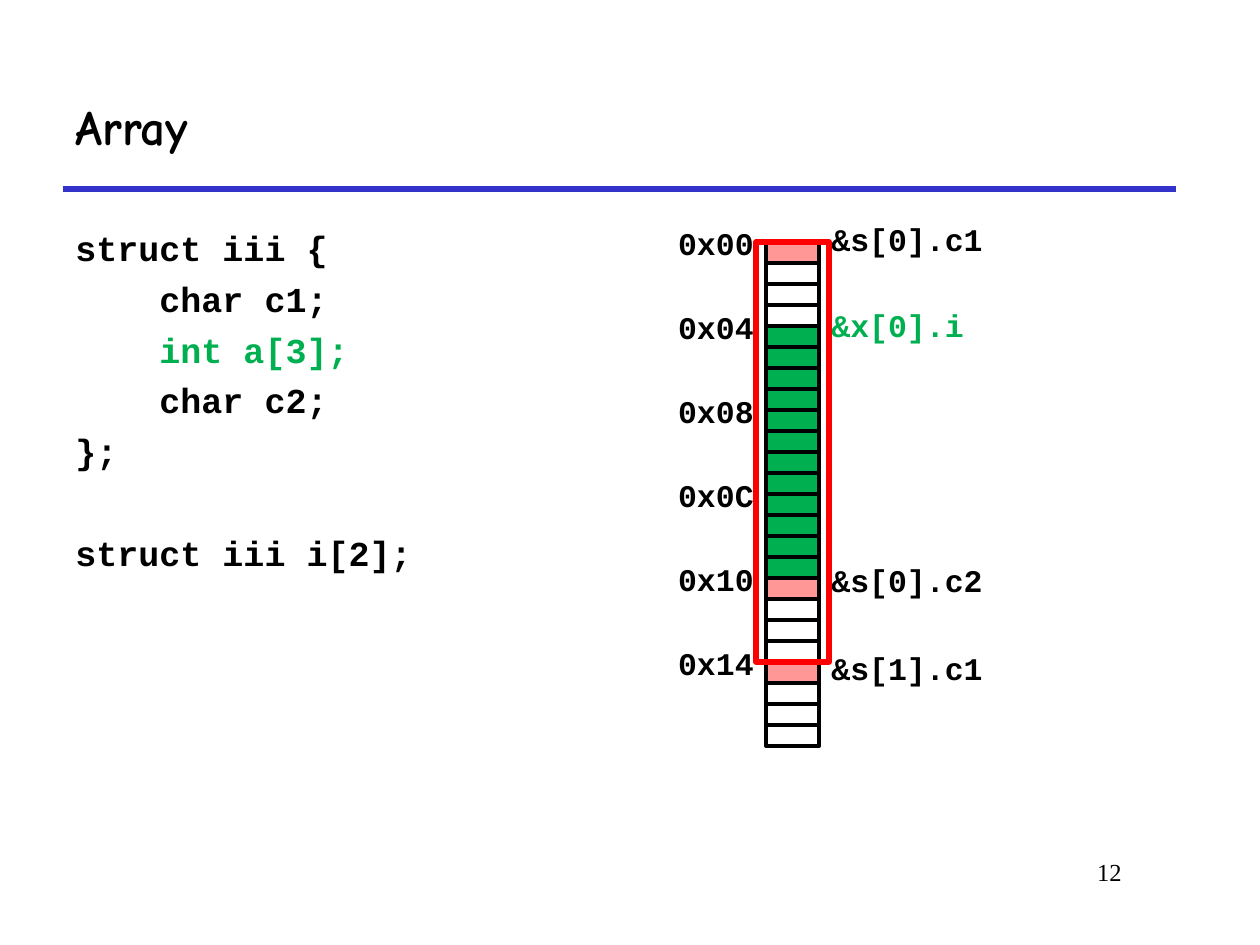
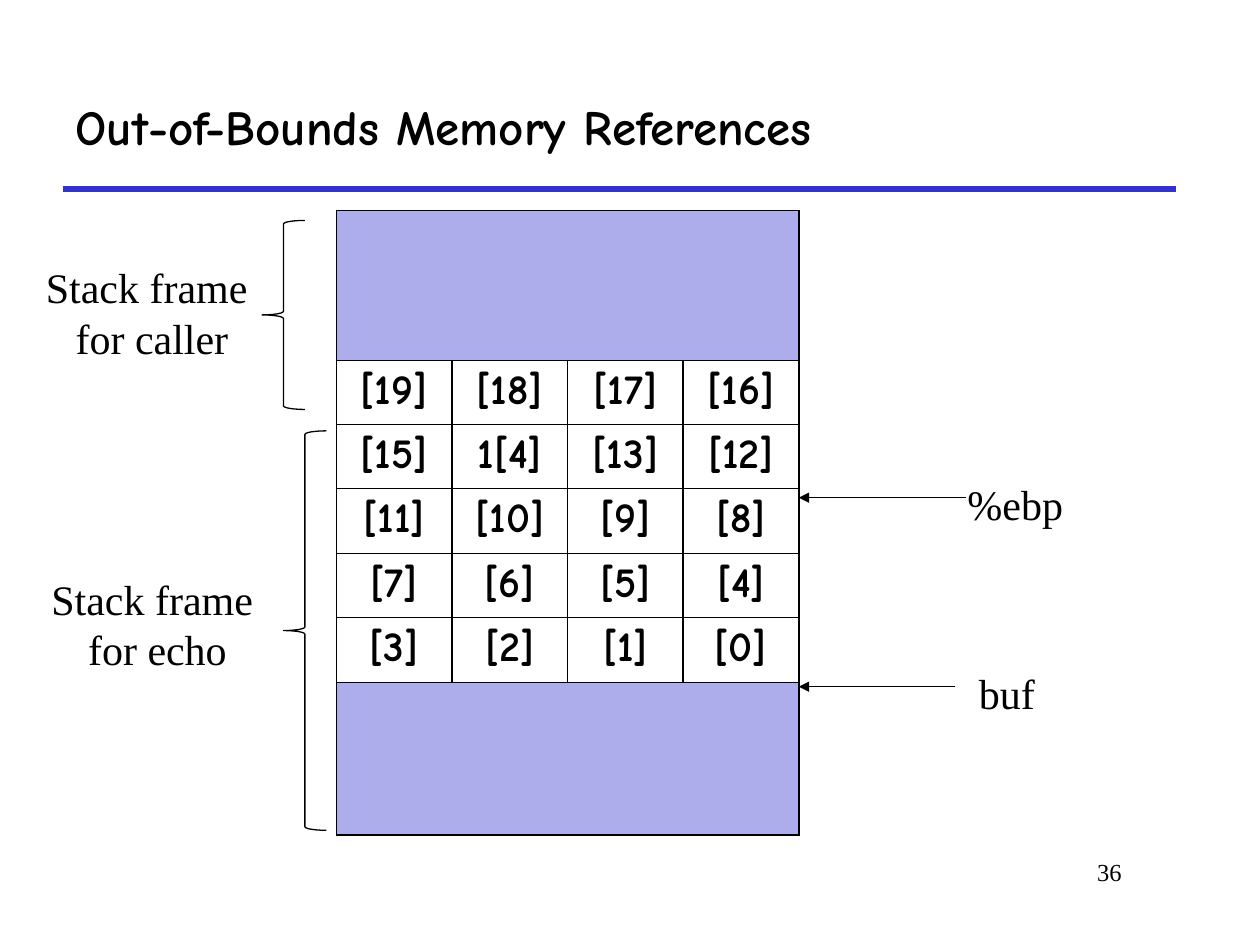
from dataclasses import dataclass
from typing import Optional

import pptx
import pptx.dml.color
import pptx.enum.shapes
import pptx.enum.text
import pptx.oxml
import pptx.oxml.ns
import pptx.util

Inches = pptx.util.Inches
Pt = pptx.util.Pt
RGB = pptx.dml.color.RGBColor
MSO_SHAPE = pptx.enum.shapes.MSO_SHAPE
ALIGN = pptx.enum.text.PP_ALIGN
ANCHOR = pptx.enum.text.MSO_ANCHOR


@dataclass(frozen=True)
class Theme:
    black: str = "000000"
    rule: str = "3333CC"
    green: str = "00B050"
    pink: str = "FF9797"
    red: str = "FF0000"
    lilac: str = "ADADEB"
    title_font: str = "Comic Neue"
    code_font: str = "Courier New"
    text_font: str = "Times New Roman"
    title_size: float = 28
    label_size: float = 24
    code_size: float = 20
    address_size: float = 18
    number_size: float = 14


THEME = Theme()


@dataclass(frozen=True)
class Style:
    font: str
    size: float
    bold: bool = False
    color: str = THEME.black
    align: ALIGN = ALIGN.LEFT


TITLE = Style(THEME.title_font, THEME.title_size, True)
CELL = Style(THEME.title_font, THEME.label_size, True, align=ALIGN.CENTER)
CODE = Style(THEME.code_font, THEME.code_size, True)
ADDRESS = Style(THEME.code_font, THEME.address_size, True, align=ALIGN.RIGHT)
MEMBER = Style(THEME.code_font, THEME.address_size, True)
MEMBER_GREEN = Style(THEME.code_font, THEME.address_size, True, THEME.green)
LABEL = Style(THEME.text_font, THEME.label_size)
FRAME_LABEL = Style(THEME.text_font, THEME.label_size, align=ALIGN.CENTER)
NUMBER = Style(THEME.text_font, THEME.number_size, align=ALIGN.RIGHT)


@dataclass(frozen=True)
class Box:
    left: float
    top: float
    width: float
    height: float

    def emu(self) -> tuple:
        return tuple(Inches(v) for v in (self.left, self.top, self.width, self.height))


@dataclass(frozen=True)
class Line:
    text: str
    before: float = 0
    color: Optional[str] = None


@dataclass(frozen=True)
class Label:
    text: str
    box: Box
    style: Style


@dataclass(frozen=True)
class StackFrame:
    brace: Box
    label: Box
    lines: tuple


CODE_LINES = (
    Line("struct iii {"),
    Line("    char c1;", 5),
    Line("    int a[3];", 5, THEME.green),
    Line("    char c2;", 5),
    Line("};", 5),
    Line("struct iii i[2];", 34),
)
BYTE_LEFT, BYTE_TOP, BYTE_WIDTH, BYTE_HEIGHT = 6.08, 1.92, 0.42, 1 / 6
BYTE_COUNT, WORD = 24, 4
CHAR_BYTES = (0, 16, 20)
ARRAY_BYTES = range(4, 16)
ADDRESSES = ("0x00", "0x04", "0x08", "0x0C", "0x10", "0x14")
MEMBERS = (
    Label("&s[0].c1", Box(6.5, 1.7, 1.5, 0.4), MEMBER),
    Label("&x[0].i", Box(6.5, 2.38, 1.5, 0.4), MEMBER_GREEN),
    Label("&s[0].c2", Box(6.5, 4.4, 1.5, 0.4), MEMBER),
    Label("&s[1].c1", Box(6.5, 5.1, 1.5, 0.4), MEMBER),
)

STACK = Box(2.67, 1.67, 3.67, 4.97)
STACK_COLUMNS = 4
ROW_HEIGHTS = (1.19, 0.51, 0.51, 0.51, 0.51, 0.52, 1.21)
STACK_ROWS = (
    ("[19]", "[18]", "[17]", "[16]"),
    ("[15]", "1[4]", "[13]", "[12]"),
    ("[11]", "[10]", "[9]", "[8]"),
    ("[7]", "[6]", "[5]", "[4]"),
    ("[3]", "[2]", "[1]", "[0]"),
)
THICK, THIN = 1.08, 0.45
FRAMES = (
    StackFrame(Box(2.08, 1.75, 0.34, 1.5), Box(0.25, 2.03, 1.83, 0.9),
               (Line("Stack frame"), Line(" for caller"))),
    StackFrame(Box(2.25, 3.42, 0.34, 3.17), Box(0.25, 4.5, 2, 0.9),
               (Line("Stack frame "), Line("for echo"))),
)
POINTERS = (
    (7.67, 3.95, Label("%ebp", Box(7.58, 3.75, 1.17, 0.5), LABEL)),
    (7.58, 5.45, Label("buf", Box(7.67, 5.25, 0.75, 0.5), LABEL)),
)


def format_paragraph(p, style: Style, color: Optional[str] = None) -> None:
    p.alignment = style.align
    p.font.name = style.font
    p.font.size = Pt(style.size)
    p.font.bold = style.bold
    p.font.color.rgb = RGB.from_string(color or style.color)


def add_text(slide, box: Box, lines: tuple, style: Style) -> None:
    tf = slide.shapes.add_textbox(*box.emu()).text_frame
    tf.word_wrap = True
    for i, line in enumerate(lines):
        p = tf.add_paragraph() if i else tf.paragraphs[0]
        p.text = line.text
        if line.before:
            p.space_before = Pt(line.before)
        format_paragraph(p, style, line.color)


def add_label(slide, label: Label) -> None:
    add_text(slide, label.box, (Line(label.text),), label.style)


def add_outline(slide, kind: MSO_SHAPE, box: Box, color: str, width: float,
                fill: Optional[str] = None) -> None:
    sp = slide.shapes.add_shape(kind, *box.emu())
    sp.shadow.inherit = False
    if fill:
        sp.fill.solid()
        sp.fill.fore_color.rgb = RGB.from_string(fill)
    else:
        sp.fill.background()
    sp.line.color.rgb = RGB.from_string(color)
    sp.line.width = Pt(width)


def add_line(slide, x1: float, x2: float, y: float, color: str, width: float,
             arrow: bool = False) -> None:
    """Draw a horizontal line, with an arrowhead at x2 if asked."""
    cxn = slide.shapes.add_connector(
        pptx.enum.shapes.MSO_CONNECTOR.STRAIGHT,
        Inches(x1), Inches(y), Inches(x2), Inches(y))
    cxn.line.color.rgb = RGB.from_string(color)
    cxn.line.width = Pt(width)
    if arrow:
        tail = pptx.oxml.parse_xml(
            f'<a:tailEnd {pptx.oxml.ns.nsdecls("a")} type="triangle"/>')
        cxn.line._get_or_add_ln().append(tail)
    cxn._element.spPr.append(
        pptx.oxml.parse_xml(f'<a:effectLst {pptx.oxml.ns.nsdecls("a")}/>'))


def add_slide(prs, title: str, title_width: float, number: int):
    slide = prs.slides.add_slide(prs.slide_layouts[5])
    add_line(slide, 0.5, 9.33, 1.5, THEME.rule, 3)
    sp = slide.shapes.title
    sp.left, sp.top, sp.width, sp.height = Box(0.5, 0.5, title_width, 1).emu()
    tf = sp.text_frame
    tf.text = title
    tf.vertical_anchor = ANCHOR.MIDDLE
    format_paragraph(tf.paragraphs[0], TITLE)
    add_label(slide, Label(str(number), Box(7.58, 6.75, 1.42, 0.5), NUMBER))
    return slide


def byte_fill(index: int) -> Optional[str]:
    if index in CHAR_BYTES:
        return THEME.pink
    return THEME.green if index in ARRAY_BYTES else None


def build_array_slide(prs) -> None:
    slide = add_slide(prs, "Array", 8.83, 12)
    add_text(slide, Box(0.5, 1.75, 3.33, 4.25), CODE_LINES, CODE)
    for i in range(BYTE_COUNT):
        box = Box(BYTE_LEFT, BYTE_TOP + i * BYTE_HEIGHT, BYTE_WIDTH, BYTE_HEIGHT)
        add_outline(slide, MSO_SHAPE.RECTANGLE, box, THEME.black, 2.25, byte_fill(i))
    for i, address in enumerate(ADDRESSES):
        top = 1.73 + i * WORD * BYTE_HEIGHT
        add_label(slide, Label(address, Box(5.25, top, 0.83, 0.4), ADDRESS))
    for member in MEMBERS:
        add_label(slide, member)
    struct_height = 5 * WORD * BYTE_HEIGHT
    add_outline(slide, MSO_SHAPE.RECTANGLE,
                Box(6, BYTE_TOP, 0.58, struct_height), THEME.red, 3)


def set_borders(cell, top: float, bottom: float) -> None:
    tc_pr = cell._tc.get_or_add_tcPr()
    widths = {"lnL": THICK, "lnR": THICK, "lnT": top, "lnB": bottom}
    for i, (side, width) in enumerate(widths.items()):
        tc_pr.insert(i, pptx.oxml.parse_xml(
            f'<a:{side} {pptx.oxml.ns.nsdecls("a")} w="{Pt(width)}"><a:solidFill>'
            f'<a:srgbClr val="{THEME.black}"/></a:solidFill></a:{side}>'))


def add_stack_table(slide) -> None:
    last = len(ROW_HEIGHTS) - 1
    table = slide.shapes.add_table(last + 1, STACK_COLUMNS, *STACK.emu()).table
    table.first_row = table.horz_banding = False
    for column in table.columns:
        column.width = Inches(STACK.width / STACK_COLUMNS)
    for r, height in enumerate(ROW_HEIGHTS):
        table.rows[r].height = Inches(height)
        is_band = r in (0, last)
        for c in range(STACK_COLUMNS):
            cell = table.cell(r, c)
            if is_band:
                cell.fill.solid()
                cell.fill.fore_color.rgb = RGB.from_string(THEME.lilac)
            else:
                cell.fill.background()
                cell.text = STACK_ROWS[r - 1][c]
                format_paragraph(cell.text_frame.paragraphs[0], CELL)
            set_borders(cell, THICK if r == 0 else THIN, THICK if r == last else THIN)
        if is_band:
            table.cell(r, 0).merge(table.cell(r, STACK_COLUMNS - 1))


def build_stack_slide(prs) -> None:
    slide = add_slide(prs, "Out-of-Bounds Memory References", 9.08, 36)
    add_stack_table(slide)
    for start, y, label in POINTERS:
        add_line(slide, start, STACK.left + STACK.width, y, THEME.black, 0.75, arrow=True)
        add_label(slide, label)
    for frame in FRAMES:
        add_outline(slide, MSO_SHAPE.LEFT_BRACE, frame.brace, THEME.black, 0.75)
        add_text(slide, frame.label, frame.lines, FRAME_LABEL)


def main() -> None:
    prs = pptx.Presentation()
    prs.slide_width, prs.slide_height = Inches(10), Inches(7.5)
    build_array_slide(prs)
    build_stack_slide(prs)
    prs.save("out.pptx")


if __name__ == "__main__":
    main()
